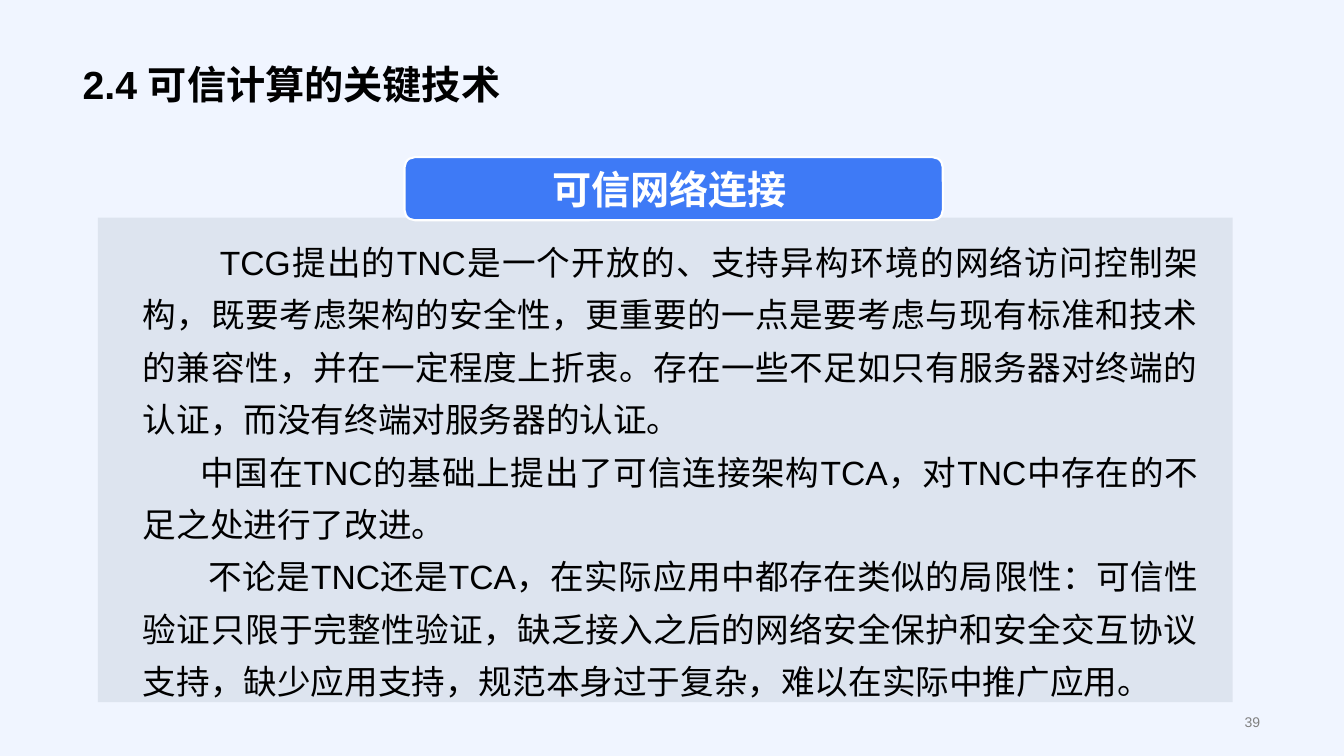
"""Build the slide on trusted network connection."""
from lxml import etree
from pptx import Presentation
from pptx import util as u
from pptx.dml.color import RGBColor
from pptx.enum import shapes, text
from pptx.oxml.ns import qn

COLORS = {
    "background": "F0F5FF",
    "ink": "000000",
    "number": "808080",
    "panel": "778495",
    "blue": "3E7AF6",
    "white": "FFFFFF",
}
PANEL_OPACITY = 15
BODY = [
    (55, "TCG提出的TNC是一个开放的、支持异构环境的网络访问控制架构，既要考虑架构的安全性，"
         "更重要的一点是要考虑与现有标准和技术的兼容性，并在一定程度上折衷。"
         "存在一些不足如只有服务器对终端的认证，而没有终端对服务器的认证。"),
    (41, "中国在TNC的基础上提出了可信连接架构TCA，对TNC中存在的不足之处进行了改进。"),
    (47, "不论是TNC还是TCA，在实际应用中都存在类似的局限性：可信性验证只限于完整性验证，"
         "缺乏接入之后的网络安全保护和安全交互协议支持，缺少应用支持，"
         "规范本身过于复杂，难以在实际中推广应用。"),
]


def color(name):
    return RGBColor.from_string(COLORS[name])


def style(paragraph, size, ink, align, bold=False, spacing=1.0):
    paragraph.alignment = align
    paragraph.line_spacing = spacing
    for run in paragraph.runs:
        run.font.name = "Arial"
        run.font.size = u.Pt(size)
        run.font.bold = bold
        run.font.color.rgb = color(ink)


deck = Presentation()
deck.slide_width, deck.slide_height = u.Pt(960), u.Pt(540)
slide = deck.slides.add_slide(deck.slide_layouts[6])
slide.background.fill.solid()
slide.background.fill.fore_color.rgb = color("background")

title = slide.shapes.add_textbox(u.Pt(52), u.Pt(0), u.Pt(855), u.Pt(80.5)).text_frame
title.word_wrap = True
title.vertical_anchor = text.MSO_ANCHOR.BOTTOM
title.text = "2.4 可信计算的关键技术"
style(title.paragraphs[0], 28, "ink", text.PP_ALIGN.LEFT, bold=True, spacing=0.9)

page_number = slide.shapes.add_textbox(u.Pt(697.7), u.Pt(507), u.Pt(209.5), u.Pt(17.3)).text_frame
page_number.word_wrap = True
page_number.vertical_anchor = text.MSO_ANCHOR.MIDDLE
page_number.text = "39"
style(page_number.paragraphs[0], 10, "number", text.PP_ALIGN.RIGHT)

panel = slide.shapes.add_shape(
    shapes.MSO_SHAPE.RECTANGLE, u.Pt(70), u.Pt(155.5), u.Pt(810.5), u.Pt(346))
panel.shadow.inherit = False
panel.fill.solid()
panel.fill.fore_color.rgb = color("panel")
panel.line.fill.background()
panel_color = panel.fill._xPr.find(qn("a:solidFill"))[0]
etree.SubElement(panel_color, qn("a:alpha")).set("val", str(PANEL_OPACITY * 1000))

body = slide.shapes.add_textbox(u.Pt(93.5), u.Pt(155.5), u.Pt(771), u.Pt(353.5)).text_frame
body.word_wrap = True
body.auto_size = text.MSO_AUTO_SIZE.SHAPE_TO_FIT_TEXT
body.margin_left = body.margin_right = body.margin_top = body.margin_bottom = u.Pt(8.64)
body.text = "\n".join(wording for _, wording in BODY)
for paragraph, (indent, _) in zip(body.paragraphs, BODY):
    style(paragraph, 24, "ink", text.PP_ALIGN.JUSTIFY, spacing=1.3)
    paragraph._p.get_or_add_pPr().set("indent", str(u.Pt(indent)))

heading = slide.shapes.add_shape(
    shapes.MSO_SHAPE.ROUNDED_RECTANGLE, u.Pt(289), u.Pt(112.3), u.Pt(384.5), u.Pt(45))
heading.adjustments[0] = 0.16
heading.shadow.inherit = False
heading.fill.solid()
heading.fill.fore_color.rgb = color("blue")
heading.line.color.rgb = color("white")
heading.line.width = u.Pt(1.5)
heading.text_frame.margin_right = u.Pt(13)
heading.text_frame.vertical_anchor = text.MSO_ANCHOR.MIDDLE
heading.text_frame.text = "可信网络连接"
style(heading.text_frame.paragraphs[0], 28, "white", text.PP_ALIGN.CENTER, bold=True)

deck.save("out.pptx")
